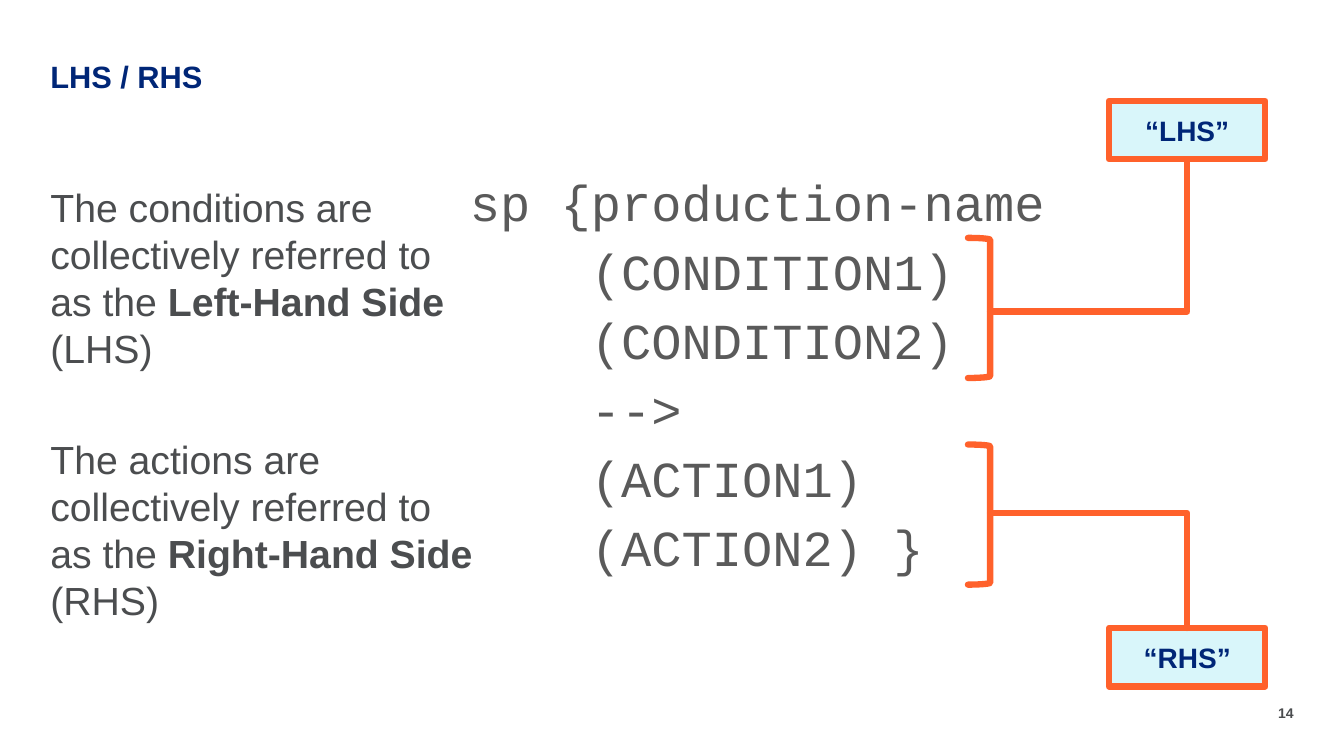
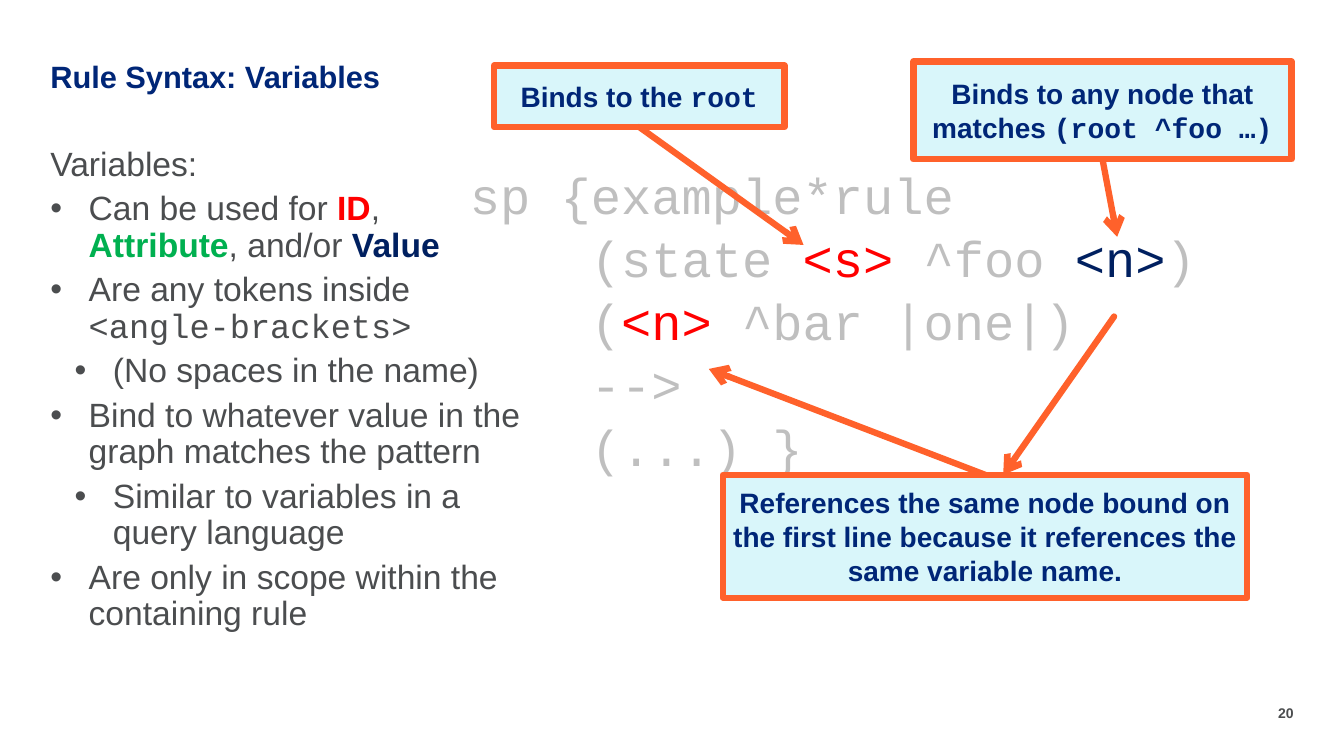
from dataclasses import dataclass, replace

from lxml import etree
from pptx import Presentation
from pptx.dml.color import RGBColor
from pptx.enum.shapes import MSO_CONNECTOR, MSO_SHAPE
from pptx.enum.text import MSO_ANCHOR, PP_ALIGN
from pptx.oxml.ns import qn
from pptx.util import Inches, Pt

RECTANGLE, BRACKET = MSO_SHAPE.RECTANGLE, MSO_SHAPE.RIGHT_BRACKET
STRAIGHT, ELBOW = MSO_CONNECTOR.STRAIGHT, MSO_CONNECTOR.ELBOW
LEFT, CENTER, RIGHT = PP_ALIGN.LEFT, PP_ALIGN.CENTER, PP_ALIGN.RIGHT
TOP, MIDDLE = MSO_ANCHOR.TOP, MSO_ANCHOR.MIDDLE
BOTTOM_SITE, TOP_SITE = 2, 0

# Shared palette
NAVY, ORANGE, PALE_BLUE = "002677", "FF612B", "D9F6FA"
GREY, CODE_GREY, FADED = "4B4D4F", "5A5A5A", "BFBFBF"
RED, GREEN, DARK_BLUE = "FF0000", "00B050", "002060"
SANS, MONO = "Arial", "Courier New"
LINE_WIDTH = 4.5
CODE_LEFT, CODE_TOP, CODE_WIDTH = 4.66, 1.7, 8.06


@dataclass(frozen=True)
class Style:
    size: float
    color: str = GREY
    font: str = SANS
    bold: bool = False


TITLE = Style(22, NAVY, bold=True)
PAGE_NUMBER = Style(10, bold=True)
CALLOUT = Style(20, NAVY, bold=True)
CALLOUT_CODE = replace(CALLOUT, font=MONO)
PROSE = Style(28)
LIST = Style(24)
CODE = Style(36, CODE_GREY, MONO)
FADED_CODE = replace(CODE, color=FADED)


def rgb(color):
    return RGBColor.from_string(color)


# Text
def add_runs(paragraph, runs):
    """Add (text, style) runs; a text of None is a line break."""
    for text, style in runs:
        if text is None:
            paragraph.add_line_break()
            continue
        run = paragraph.add_run()
        run.text = text
        run.font.size = Pt(style.size)
        run.font.name = style.font
        run.font.bold = style.bold
        run.font.color.rgb = rgb(style.color)


def add_bullet(paragraph, level):
    paragraph.level = level
    properties = paragraph._p.get_or_add_pPr()
    properties.set("marL", str(Inches(0.38 + 0.24 * level)))
    properties.set("indent", str(Inches(-0.38)))
    etree.SubElement(properties, qn("a:buFont")).set("typeface", SANS)
    etree.SubElement(properties, qn("a:buChar")).set("char", "•")


def fill_frame(frame, paragraphs, align=LEFT, spacing=1.0, gap=6, levels=None):
    """Write one list of runs per paragraph; a level of None has no bullet."""
    frame.word_wrap = True
    for index, runs in enumerate(paragraphs):
        paragraph = frame.add_paragraph() if index else frame.paragraphs[0]
        if levels and levels[index] is not None:
            add_bullet(paragraph, levels[index])
        paragraph.alignment = align
        paragraph.line_spacing = spacing
        paragraph.space_before = Pt(gap if index else 0)
        add_runs(paragraph, runs)


def add_text(slide, left, top, width, height, paragraphs, **options):
    box = slide.shapes.add_textbox(Inches(left), Inches(top),
                                   Inches(width), Inches(height))
    frame = box.text_frame
    frame.margin_left = frame.margin_right = 0
    frame.margin_top = frame.margin_bottom = 0
    frame.vertical_anchor = TOP
    fill_frame(frame, paragraphs, **options)


# Shapes and lines
def style_line(line):
    line.color.rgb = rgb(ORANGE)
    line.width = Pt(LINE_WIDTH)
    element = line._get_or_add_ln()
    element.set("cap", "rnd")
    etree.SubElement(element, qn("a:round"))
    return element


def add_outlined(slide, kind, left, top, width, height):
    shape = slide.shapes.add_shape(kind, Inches(left), Inches(top),
                                   Inches(width), Inches(height))
    shape.shadow.inherit = False
    style_line(shape.line)
    return shape


def add_callout(slide, left, top, width, height, runs):
    shape = add_outlined(slide, RECTANGLE, left, top, width, height)
    shape.fill.solid()
    shape.fill.fore_color.rgb = rgb(PALE_BLUE)
    shape.text_frame.vertical_anchor = MIDDLE
    fill_frame(shape.text_frame, [runs], align=CENTER)
    return shape


def add_bracket(slide, left, top, width, height):
    add_outlined(slide, BRACKET, left, top, width, height).fill.background()


def add_line(slide, kind, start, end):
    connector = slide.shapes.add_connector(
        kind, *(Inches(value) for value in (*start, *end)))
    etree.SubElement(connector._element.spPr, qn("a:effectLst"))
    return connector, style_line(connector.line)


def add_arrow(slide, start, end, source=None, site=None):
    connector, line = add_line(slide, STRAIGHT, start, end)
    etree.SubElement(line, qn("a:tailEnd")).set("type", "arrow")
    if source is not None:
        connector.begin_connect(source, site)


def add_corner(slide, start, end):
    """Draw one bend: across from start, then up or down to end."""
    connector, _ = add_line(slide, ELBOW, start, end)
    geometry = connector._element.spPr.find(qn("a:prstGeom"))
    geometry.set("prst", "bentConnector2")


# Slides
def add_slide(presentation, title, number):
    slide = presentation.slides.add_slide(presentation.slide_layouts[6])
    add_text(slide, 12.33, 6.99, 0.5, 0.17, [[(number, PAGE_NUMBER)]],
             align=RIGHT)
    add_text(slide, 0.5, 0.61, 10.5, 0.33, [[(title, TITLE)]], spacing=0.9)
    return slide


def build_sides(presentation):
    slide = add_slide(presentation, "LHS / RHS", "14")
    code = ["sp {production-name", "    (CONDITION1)", "    (CONDITION2)",
            "    -->", "    (ACTION1)", "    (ACTION2) }"]
    add_text(slide, CODE_LEFT, CODE_TOP, CODE_WIDTH, 4.3,
             [[(line, CODE)] for line in code])

    strong = replace(PROSE, bold=True)
    sides = [("conditions", "Left-Hand Side ", "(LHS)"),
             ("actions", "Right-Hand Side ", "(RHS)")]
    add_text(slide, 0.5, 1.82, 4.27, 4.41,
             [[(f"The {parts} are collectively referred to as the ", PROSE),
               (name, strong), (short, PROSE)]
              for parts, name, short in sides], gap=45.6)

    # Label, its bracket and the bend between them
    box_left, box_width, box_height = 11, 1.55, 0.58
    bracket_left, bracket_width, bracket_height = 9.6, 0.22, 1.39
    for label, box_top, box_edge, bracket_top, joint in (
            ("“LHS”", 1, 1.58, 2.36, 3.09),
            ("“RHS”", 6.23, 6.23, 4.41, 5.09)):
        add_callout(slide, box_left, box_top, box_width, box_height,
                    [(label, CALLOUT)])
        add_corner(slide, (bracket_left + bracket_width, joint),
                   (box_left + box_width / 2, box_edge))
        add_bracket(slide, bracket_left, bracket_top,
                    bracket_width, bracket_height)


def build_variables(presentation):
    slide = add_slide(presentation, "Rule Syntax: Variables", "20")

    def strong(color):
        return replace(LIST, color=color, bold=True)

    # Bulleted list: level, then runs
    items = [
        (None, [("Variables:", LIST)]),
        (0, [("Can be used for ", LIST), ("ID", strong(RED)), (", ", LIST),
             (None, LIST), ("Attribute", strong(GREEN)), (", and/or ", LIST),
             ("Value", strong(DARK_BLUE))]),
        (0, [("Are any tokens inside", LIST), (None, LIST),
             ("<angle-brackets>", replace(LIST, font=MONO))]),
        (1, [("(No spaces in the name)", LIST)]),
        (0, [("Bind to whatever value in the graph matches the pattern",
              LIST)]),
        (1, [("Similar to variables in a query language", LIST)]),
        (0, [("Are only in scope within the containing rule", LIST)]),
    ]
    levels, paragraphs = zip(*items)
    add_text(slide, 0.5, 1.46, 4.86, 5.06, paragraphs, spacing=0.9,
             levels=levels)

    # Faded code with highlighted variables
    red_code = replace(CODE, color=RED)
    blue_code = replace(CODE, color=DARK_BLUE)
    add_text(slide, CODE_LEFT, CODE_TOP, CODE_WIDTH, 3.17, [
        [("sp {example*rule", FADED_CODE)],
        [("    (state ", FADED_CODE), ("<s> ", red_code),
         ("^foo ", FADED_CODE), ("<n>", blue_code), (")", FADED_CODE)],
        [("    (", FADED_CODE), ("<n> ", red_code),
         ("^bar |one|)", FADED_CODE)],
        [("    -->", FADED_CODE)],
        [("    (...) }", FADED_CODE)],
    ], spacing=0.9)

    # Callouts and their arrows
    node = add_callout(slide, 9.06, 0.61, 3.75, 0.97, [
        ("Binds to any node that matches ", CALLOUT),
        ("(root ^foo …)", CALLOUT_CODE)])
    add_arrow(slide, (10.94, 1.58), (11.08, 2.35), node, BOTTOM_SITE)
    root = add_callout(slide, 4.9, 0.65, 2.88, 0.61, [
        ("Binds to the ", CALLOUT), ("root", CALLOUT_CODE)])
    add_arrow(slide, (6.34, 1.26), (7.97, 2.43), root, BOTTOM_SITE)
    reference = add_callout(slide, 7.17, 4.71, 5.2, 1.22, [
        ("References the same node bound on the first line because it "
         "references the same variable name.", CALLOUT)])
    add_arrow(slide, (9.77, 4.71), (7.03, 3.66), reference, TOP_SITE)
    add_arrow(slide, (11.05, 3.14), (9.95, 4.71))


def main():
    presentation = Presentation()
    presentation.slide_width = Inches(13.33)
    presentation.slide_height = Inches(7.5)
    build_sides(presentation)
    build_variables(presentation)
    presentation.save("out.pptx")


if __name__ == "__main__":
    main()
